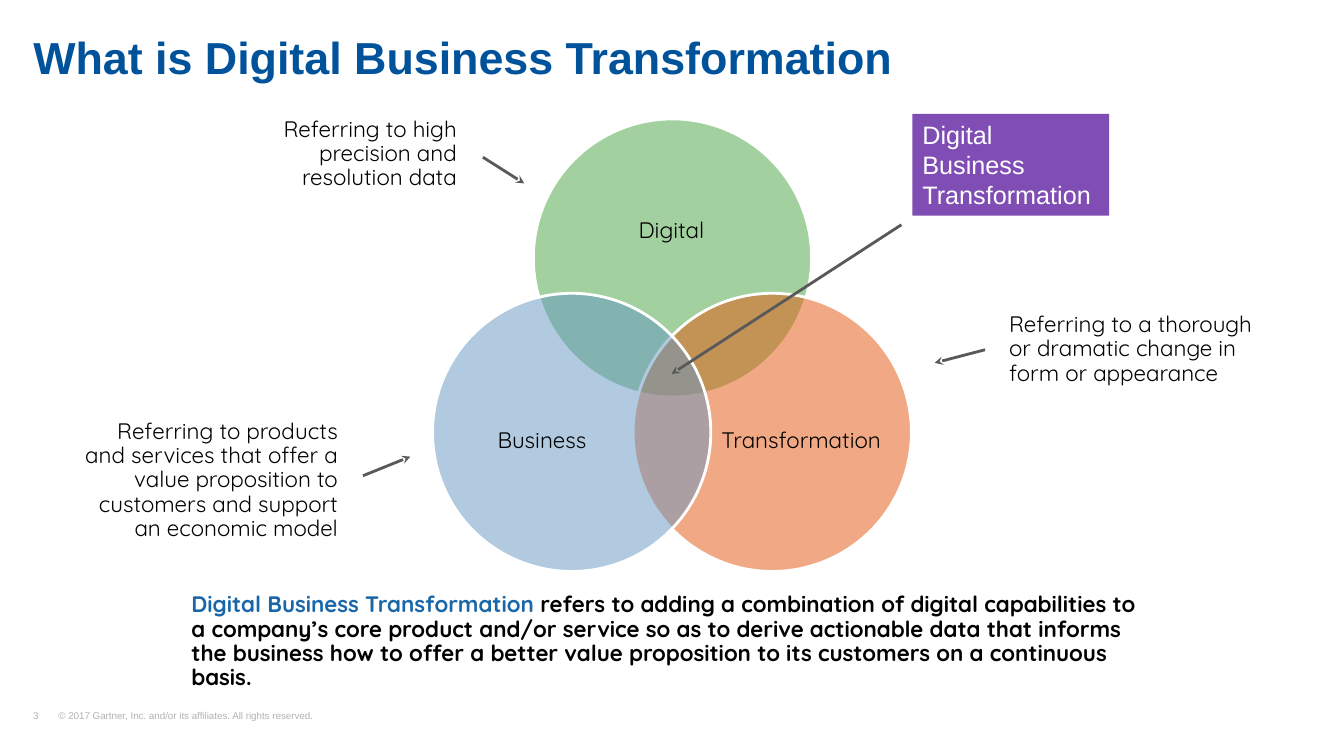
from dataclasses import dataclass

from lxml import etree
from pptx import Presentation
from pptx.dml.color import RGBColor
from pptx.enum.shapes import MSO_CONNECTOR, MSO_SHAPE
from pptx.enum.text import MSO_ANCHOR, MSO_AUTO_SIZE, PP_ALIGN
from pptx.oxml.ns import qn
from pptx.util import Inches, Pt

LEFT, CENTER, RIGHT = PP_ALIGN.LEFT, PP_ALIGN.CENTER, PP_ALIGN.RIGHT
TOP, MIDDLE, BOTTOM = MSO_ANCHOR.TOP, MSO_ANCHOR.MIDDLE, MSO_ANCHOR.BOTTOM
NO_AUTOFIT = MSO_AUTO_SIZE.NONE
OVAL, RECTANGLE = MSO_SHAPE.OVAL, MSO_SHAPE.RECTANGLE
STRAIGHT = MSO_CONNECTOR.STRAIGHT
TITLE_ONLY = 5
CIRCLE_SIZE = 2.76


@dataclass(frozen=True)
class Theme:
    heading_font: str = "Arial"
    body_font: str = "Quicksand"
    title_size: int = 32
    callout_size: int = 18
    body_size: int = 16
    footer_size: int = 7
    title: str = "00529B"
    text: str = "000000"
    emphasis: str = "1967A9"
    muted: str = "B2B2B2"
    arrow: str = "595959"
    white: str = "FFFFFF"
    digital: str = "46A33F"
    transformation: str = "E5550D"
    business: str = "6697C3"
    callout: str = "56129D"
    line_width: int = 2
    line_spacing: float = 0.9


THEME = Theme()


@dataclass(frozen=True)
class Area:
    left: float
    top: float
    width: float
    height: float

    def lengths(self) -> list:
        return [Inches(n) for n in (self.left, self.top, self.width, self.height)]


@dataclass(frozen=True)
class Span:
    text: str
    color: str = THEME.text
    size: int = THEME.body_size
    font: str = THEME.body_font
    bold: bool = False


@dataclass(frozen=True)
class TextStyle:
    align: PP_ALIGN = LEFT
    anchor: MSO_ANCHOR = TOP
    insets: tuple = (0.1, 0.05, 0.1, 0.05)
    spacing: float = THEME.line_spacing


@dataclass(frozen=True)
class Circle:
    name: str
    color: str
    left: float
    top: float
    label: Area


@dataclass(frozen=True)
class Note:
    text: str
    area: Area
    align: PP_ALIGN


@dataclass(frozen=True)
class Arrow:
    start: tuple
    end: tuple


LABEL_STYLE = TextStyle(CENTER, MIDDLE, (0, 0, 0, 0))
TITLE_STYLE = TextStyle(insets=(0, 0.1, 0, 0))
FOOTER_STYLE = TextStyle(anchor=BOTTOM, insets=(0, 0, 0, 0))
CALLOUT_STYLE = TextStyle(spacing=1.0)

CIRCLES = [
    Circle("Digital", THEME.digital, 5.29, 1.18, Area(5.65, 1.67, 2.02, 1.24)),
    Circle("Transformation", THEME.transformation, 6.28, 2.91, Area(7.12, 3.62, 1.65, 1.52)),
    Circle("Business", THEME.business, 4.29, 2.91, Area(4.55, 3.62, 1.65, 1.52)),
]
NOTES = [
    Note("Referring to high precision and resolution data",
         Area(2.3, 1.12, 2.33, 0.83), RIGHT),
    Note("Referring to a thorough or dramatic change in form or appearance",
         Area(9.91, 3.06, 2.86, 0.83), LEFT),
    Note("Referring to products and services that offer a value proposition to "
         "customers and support an economic model",
         Area(0.72, 4.12, 2.73, 1.31), RIGHT),
]
ARROWS = [
    Arrow((4.79, 1.56), (5.2, 1.82)),
    Arrow((9.77, 3.47), (9.27, 3.6)),
    Arrow((3.6, 4.72), (4.07, 4.53)),
    Arrow((8.94, 2.23), (6.66, 3.71)),
]
DEFINITION = [
    Span("Digital Business Transformation ", THEME.emphasis, bold=True),
    Span("refers to adding a combination of digital capabilities to a company’s core "
         "product and/or service so as to derive actionable data that informs the "
         "business how to offer a better value proposition to its customers on a "
         "continuous basis.", bold=True),
]


def apply(target, values: dict) -> None:
    for name, value in values.items():
        setattr(target, name, value)


def write(box, spans: list, style: TextStyle, tab: float = 0) -> None:
    frame = box.text_frame
    left, top, right, bottom = (Inches(n) for n in style.insets)
    apply(frame, dict(word_wrap=True, auto_size=NO_AUTOFIT, vertical_anchor=style.anchor,
                      margin_left=left, margin_top=top,
                      margin_right=right, margin_bottom=bottom))
    para = frame.paragraphs[0]
    apply(para, dict(alignment=style.align, line_spacing=style.spacing))
    if tab:
        tabs = etree.SubElement(para._p.get_or_add_pPr(), qn("a:tabLst"))
        etree.SubElement(tabs, qn("a:tab"), pos=str(Inches(tab)), algn="l")
    for item in spans:
        span = para.add_run()
        span.text = item.text
        apply(span.font, dict(name=item.font, size=Pt(item.size), bold=item.bold))
        span.font.color.rgb = RGBColor.from_string(item.color)


def add_text(page, area: Area, spans: list, style: TextStyle, tab: float = 0) -> None:
    write(page.shapes.add_textbox(*area.lengths()), spans, style, tab)


def add_tinted_shape(page, kind: MSO_SHAPE, area: Area, color: str, opacity: int):
    shape = page.shapes.add_shape(kind, *area.lengths())
    shape.shadow.inherit = False
    shape.fill.solid()
    shape.fill.fore_color.rgb = RGBColor.from_string(color)
    tint = shape._element.spPr.find(qn("a:solidFill")).find(qn("a:srgbClr"))
    etree.SubElement(tint, qn("a:alpha"), val=str(opacity * 1000))
    shape.line.fill.background()
    return shape


def add_circle(page, circle: Circle) -> None:
    area = Area(circle.left, circle.top, CIRCLE_SIZE, CIRCLE_SIZE)
    shape = add_tinted_shape(page, OVAL, area, circle.color, 50)
    shape.line.color.rgb = RGBColor.from_string(THEME.white)
    shape.line.width = Pt(THEME.line_width)
    add_text(page, circle.label, [Span(circle.name)], LABEL_STYLE)


def add_arrow(page, arrow: Arrow) -> None:
    ends = [Inches(n) for n in (*arrow.start, *arrow.end)]
    connector = page.shapes.add_connector(STRAIGHT, *ends)
    connector.line.color.rgb = RGBColor.from_string(THEME.arrow)
    connector.line.width = Pt(THEME.line_width)
    etree.SubElement(connector.line._get_or_add_ln(), qn("a:tailEnd"), type="stealth")
    etree.SubElement(connector._element.spPr, qn("a:effectLst"))


def main() -> None:
    deck = Presentation()
    apply(deck, dict(slide_width=Inches(13.33), slide_height=Inches(7.5)))
    page = deck.slides.add_slide(deck.slide_layouts[TITLE_ONLY])

    title = page.shapes.title
    left, top, width, height = Area(0.33, 0.25, 12.66, 0.59).lengths()
    apply(title, dict(left=left, top=top, width=width, height=height))
    write(title, [Span("What is Digital Business Transformation", THEME.title,
                       THEME.title_size, THEME.heading_font, True)], TITLE_STYLE)
    add_text(page, Area(0.33, 7.05, 3.23, 0.11),
             [Span("3\t© 2017 Gartner, Inc. and/or its affiliates. All rights reserved.",
                   THEME.muted, THEME.footer_size, THEME.heading_font)], FOOTER_STYLE, 0.25)

    for circle in CIRCLES:
        add_circle(page, circle)
    for note in NOTES:
        add_text(page, note.area, [Span(note.text)], TextStyle(note.align))
    add_text(page, Area(1.8, 5.84, 9.72, 0.83), DEFINITION, TextStyle())

    callout = add_tinted_shape(page, RECTANGLE, Area(9.05, 1.13, 1.95, 1.01), THEME.callout, 75)
    write(callout, [Span("Digital Business Transformation", THEME.white,
                         THEME.callout_size, THEME.heading_font)], CALLOUT_STYLE)
    for arrow in ARROWS:
        add_arrow(page, arrow)
    deck.save("out.pptx")


if __name__ == "__main__":
    main()
